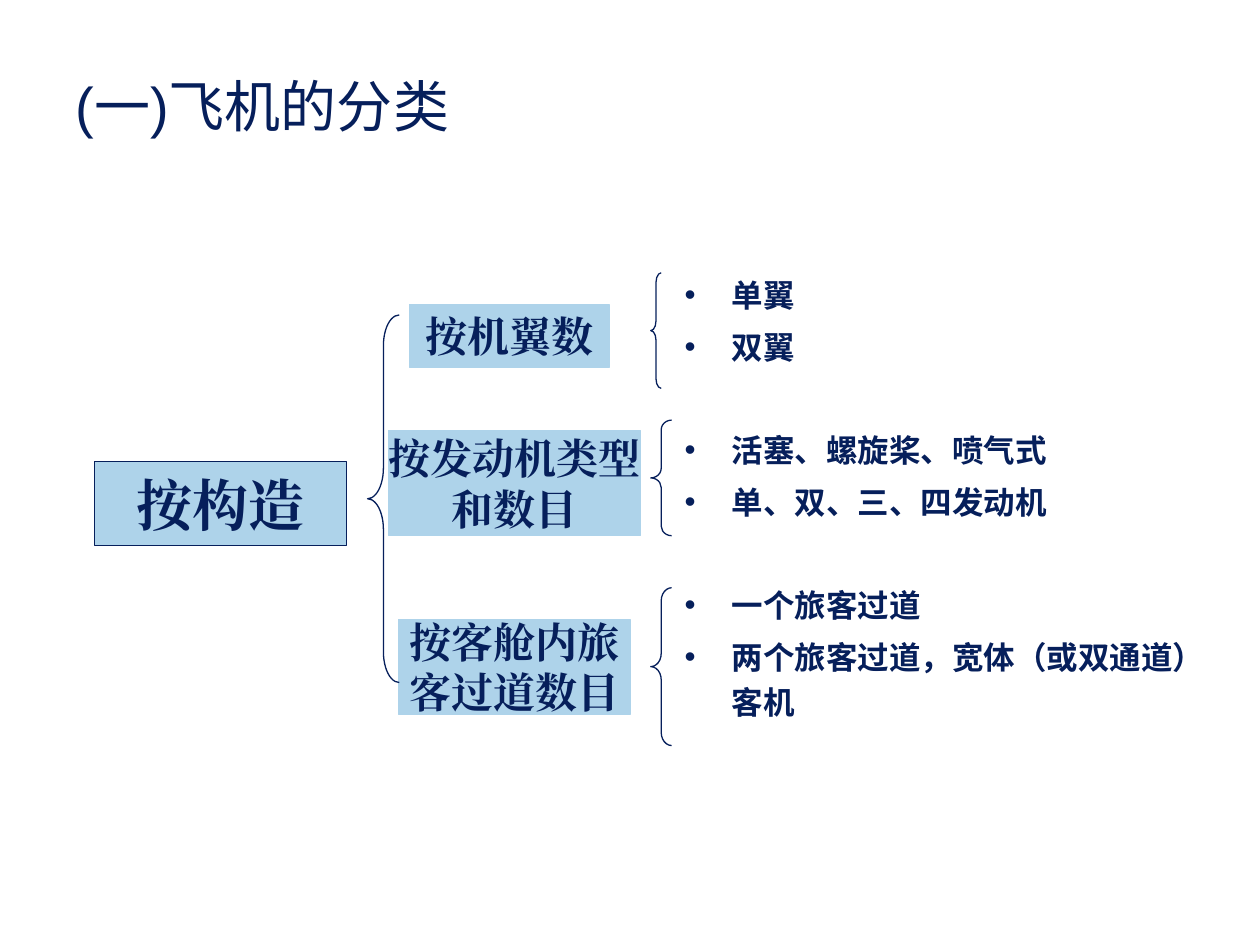
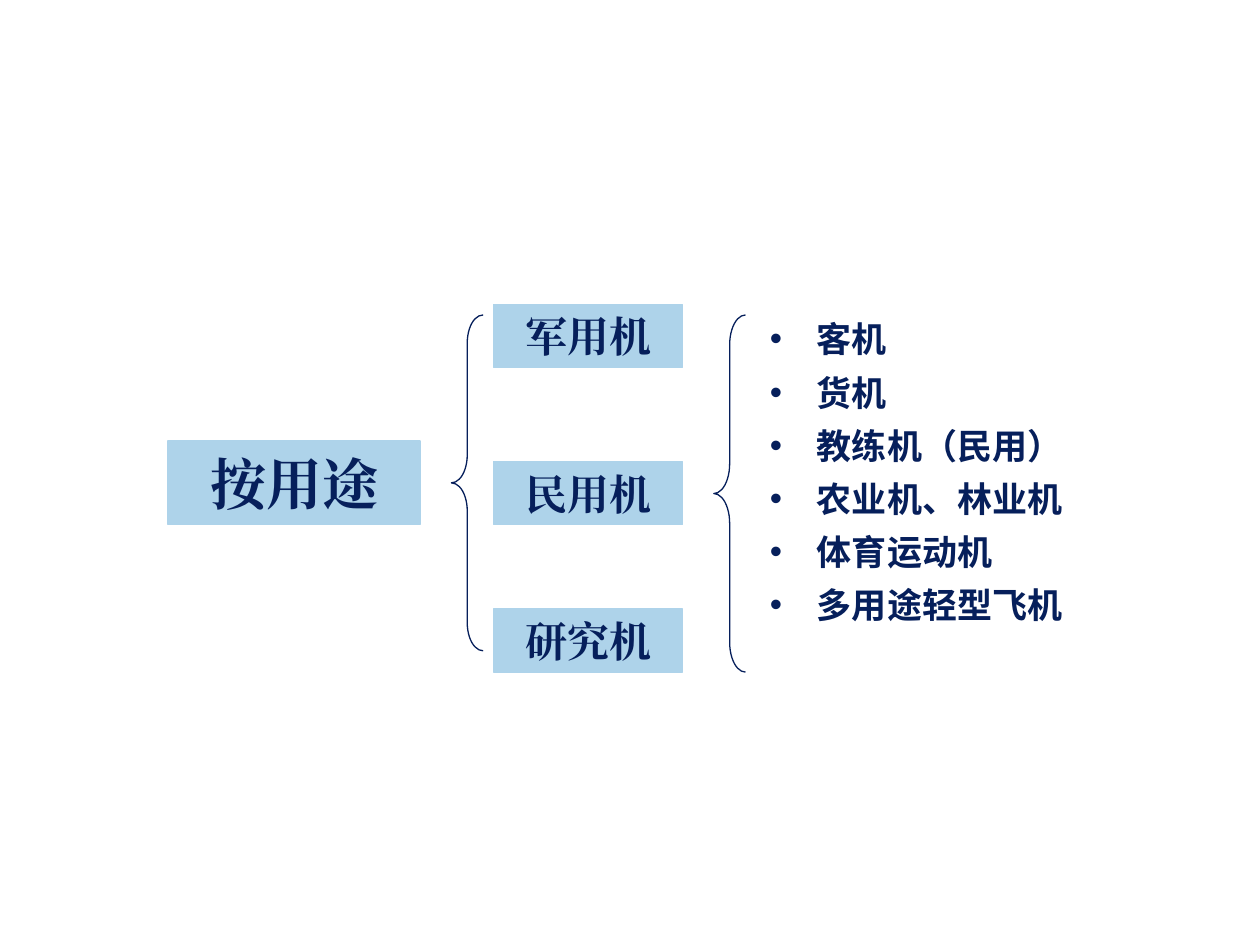
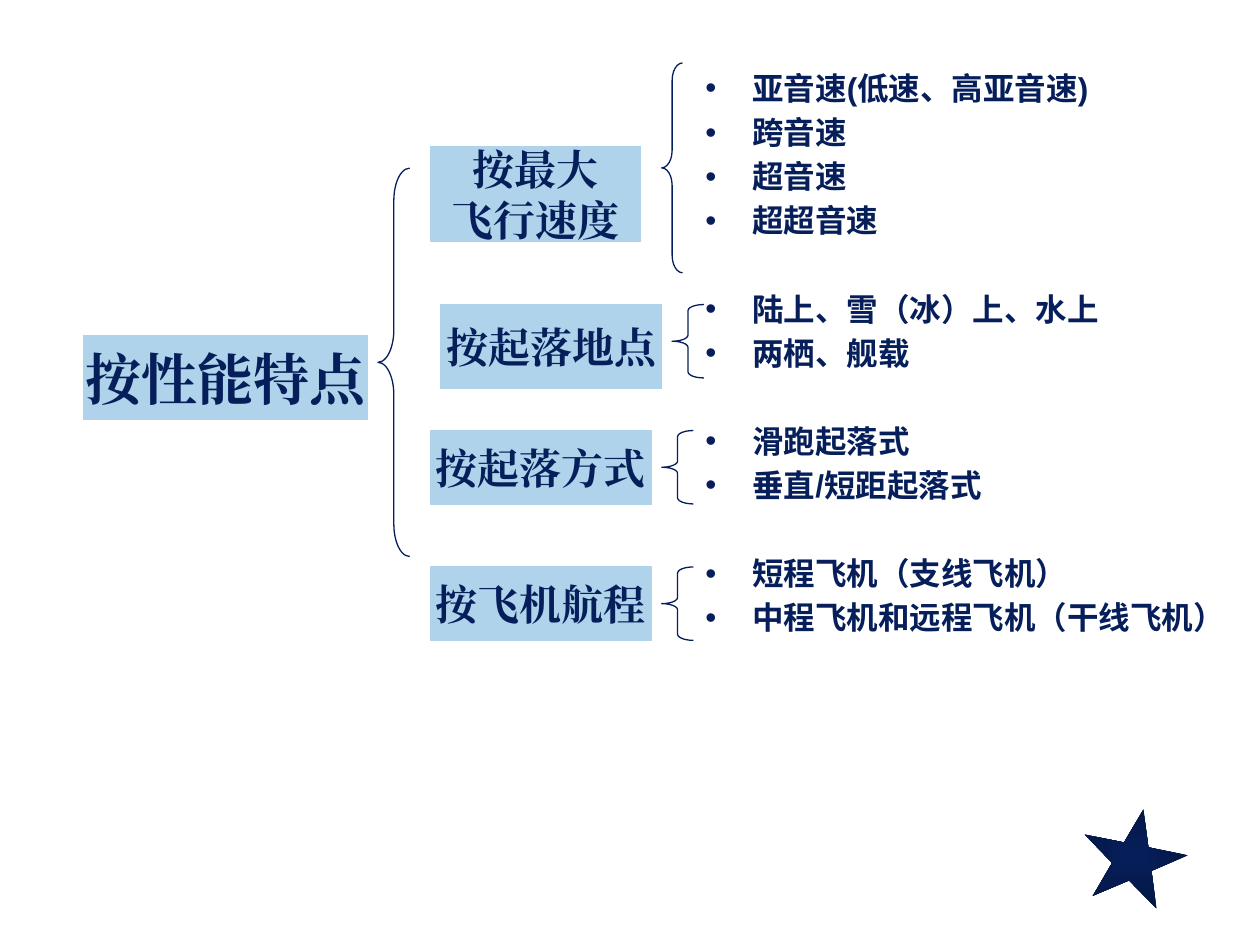
from dataclasses import dataclass

from lxml import etree
from pptx import Presentation
from pptx import util as u
from pptx.dml.color import RGBColor
from pptx.enum import shapes, text
from pptx.oxml import ns

Cm, Pt = u.Cm, u.Pt


@dataclass(frozen=True)
class Theme:
    navy: RGBColor = RGBColor(0x06, 0x1F, 0x5B)
    dark_navy: RGBColor = RGBColor(0x04, 0x16, 0x41)
    sky: RGBColor = RGBColor(0xAE, 0xD3, 0xEA)
    list_font: str = "Arial"
    box_font: str = "Times New Roman"
    heading: int = 32
    branch: int = 24
    line_width: float = 0.75
    line_height: float = 1.2   # natural line height, times the type size
    para_gap: float = 0.2      # space before a paragraph, times the type size
    indent: float = 0.95       # hanging indent in cm


T = Theme()
TITLE_BOX = (1.27, 1.27, 20.6, 1.69)
STAR_BOX = (21.8, 16.3, 2.12, 1.91)

# Content: boxes are left, top, width, height in cm.
# A branch is (lines, box, brace or None, bulleted items).
SLIDES = [
    dict(
        title="(一)飞机的分类",
        root=("按构造", (1.91, 9.31, 5.08, 1.69)), root_line=T.navy,
        root_brace=(7.41, 6.35, 0.64, 7.41),
        list_box=(13.55, 5.29, 11.43, 10.58), size=18, spacing=1.2,
        branches=[
            (["按机翼数"], (8.26, 6.14, 4.02, 1.27), (13.12, 5.5, 0.21, 2.33),
             ["单翼", "双翼"]),
            (["按发动机类型", "和数目"], (7.83, 8.68, 5.08, 2.12), (13.12, 8.47, 0.42, 2.33),
             ["活塞、螺旋桨、喷气式", "单、双、三、四发动机"]),
            (["按客舱内旅", "客过道数目"], (8.04, 12.49, 4.66, 1.91), (13.12, 11.85, 0.42, 3.18),
             ["一个旅客过道", "两个旅客过道，宽体（或双通道）客机"]),
        ],
    ),
    dict(
        root=("按用途", (3.39, 8.89, 5.08, 1.69)),
        root_brace=(9.1, 6.35, 0.64, 6.77),
        list_box=(15.27, 6.2, 10.03, 8.23), size=20, spacing=1.1,
        branches=[
            (["军用机"], (9.95, 6.14, 3.81, 1.27), None, []),
            (["民用机"], (9.95, 9.31, 3.81, 1.27), (14.39, 6.35, 0.64, 7.2),
             ["客机", "货机", "教练机（民用）", "农业机、林业机", "体育运动机", "多用途轻型飞机"]),
            (["研究机"], (9.95, 12.28, 3.81, 1.27), None, []),
        ],
    ),
    dict(
        root=("按性能特点", (1.69, 6.77, 5.72, 1.69)),
        root_brace=(7.62, 3.39, 0.64, 7.83),
        list_box=(13.97, 1.27, 11.43, 13.34), size=18, spacing=1, star=True,
        branches=[
            (["按最大", "飞行速度"], (8.68, 2.96, 4.23, 1.91), (13.34, 1.27, 0.42, 4.23),
             ["亚音速(低速、高亚音速)", "跨音速", "超音速", "超超音速"]),
            (["按起落地点"], (8.89, 6.14, 4.45, 1.69), (13.55, 6.14, 0.64, 1.48),
             ["陆上、雪（冰）上、水上", "两栖、舰载"]),
            (["按起落方式"], (8.68, 8.68, 4.45, 1.48), (13.34, 8.68, 0.64, 1.48),
             ["滑跑起落式", "垂直/短距起落式"]),
            (["按飞机航程"], (8.68, 11.43, 4.45, 1.48), (13.34, 11.43, 0.64, 1.48),
             ["短程飞机（支线飞机）", "中程飞机和远程飞机（干线飞机）"]),
        ],
    ),
]


def cm(box):
    return [Cm(v) for v in box]


def write(p, words, size, font, bold=True):
    """Add one navy run, with the same font for Latin and Chinese."""
    r = p.add_run()
    r.text = words
    r.font.color.rgb = T.navy
    for name, value in dict(name=font, size=Pt(size), bold=bold).items():
        setattr(r.font, name, value)
    etree.SubElement(r.font._element, ns.qn("a:ea"), typeface=font)


def paragraphs(tf, count):
    return [tf.paragraphs[0]] + [tf.add_paragraph() for _ in range(count - 1)]


def add_shape(s, kind, box, line=None):
    sp = s.shapes.add_shape(kind, *cm(box))
    sp.shadow.inherit = False
    if line is None:
        sp.line.fill.background()
    else:
        sp.line.color.rgb = line
        sp.line.width = Pt(T.line_width)
    return sp


def add_box(s, lines, box, size, line=T.sky):
    sp = add_shape(s, shapes.MSO_SHAPE.RECTANGLE, box, line)
    sp.fill.solid()
    sp.fill.fore_color.rgb = T.sky
    tf = sp.text_frame
    tf.word_wrap = False
    tf.vertical_anchor = text.MSO_ANCHOR.MIDDLE
    for p, words in zip(paragraphs(tf, len(lines)), lines):
        p.alignment = text.PP_ALIGN.CENTER
        p.line_spacing = Pt(size * T.line_height)
        write(p, words, size, T.box_font)


def add_brace(s, box):
    sp = add_shape(s, shapes.MSO_SHAPE.LEFT_BRACE, box, T.navy)
    sp.fill.background()
    width, height = box[2:]
    sp.adjustments[0] = height / width / 12   # each curl is a twelfth of the height


def add_list(s, box, groups, size, spacing):
    tf = s.shapes.add_textbox(*cm(box)).text_frame
    tf.word_wrap = True
    line = size * T.line_height * spacing
    gap = size * T.para_gap
    rows = [(words, i == 0) for items in groups for i, words in enumerate(items)]
    for p, (words, starts_group) in zip(paragraphs(tf, len(rows)), rows):
        p.line_spacing = Pt(line)
        p.space_before = Pt(line + 2 * gap if starts_group else gap)
        pPr = p._p.get_or_add_pPr()
        pPr.set("marL", str(Cm(T.indent)))
        pPr.set("indent", str(-Cm(T.indent)))
        etree.SubElement(pPr, ns.qn("a:buFont"), typeface=T.list_font)
        etree.SubElement(pPr, ns.qn("a:buChar"), char="•")
        write(p, words, size, T.list_font)
    tf.paragraphs[0].space_before = Pt(0)


def add_title(s, words):
    sp = s.shapes.title
    for name, value in zip(("left", "top", "width", "height"), cm(TITLE_BOX)):
        setattr(sp, name, value)
    tf = sp.text_frame
    tf.vertical_anchor = text.MSO_ANCHOR.MIDDLE
    p = tf.paragraphs[0]
    p.alignment = text.PP_ALIGN.LEFT
    write(p, words, T.heading, T.list_font, bold=False)


def add_star(s):
    sp = add_shape(s, shapes.MSO_SHAPE.STAR_5_POINT, STAR_BOX)
    sp.rotation = 11.4
    sp.fill.gradient()
    for stop, color, position in zip(sp.fill.gradient_stops, (T.navy, T.dark_navy), (0, 1)):
        stop.color.rgb = color
        stop.position = position
    # Turn the linear gradient into one that spreads from the centre
    lin = sp._element.spPr.find(".//" + ns.qn("a:lin"))
    spread = etree.Element(ns.qn("a:path"), path="shape")
    etree.SubElement(spread, ns.qn("a:fillToRect"), dict.fromkeys("ltrb", "50000"))
    lin.getparent().replace(lin, spread)


def build_slide(prs, data):
    s = prs.slides.add_slide(prs.slide_layouts[5 if "title" in data else 6])
    if "title" in data:
        add_title(s, data["title"])
    branches = data["branches"]
    groups = [items for *_, items in branches if items]
    add_list(s, data["list_box"], groups, data["size"], data["spacing"])

    # Root, branches and the braces that join them
    root, root_box = data["root"]
    add_box(s, [root], root_box, T.heading, data.get("root_line", T.sky))
    for lines, box, brace, _ in branches:
        add_box(s, lines, box, T.branch)
        if brace:
            add_brace(s, brace)
    add_brace(s, data["root_brace"])
    if data.get("star"):
        add_star(s)


def main():
    prs = Presentation()
    prs.slide_width, prs.slide_height = Cm(25.4), Cm(19.05)
    for data in SLIDES:
        build_slide(prs, data)
    prs.save("out.pptx")


if __name__ == "__main__":
    main()
